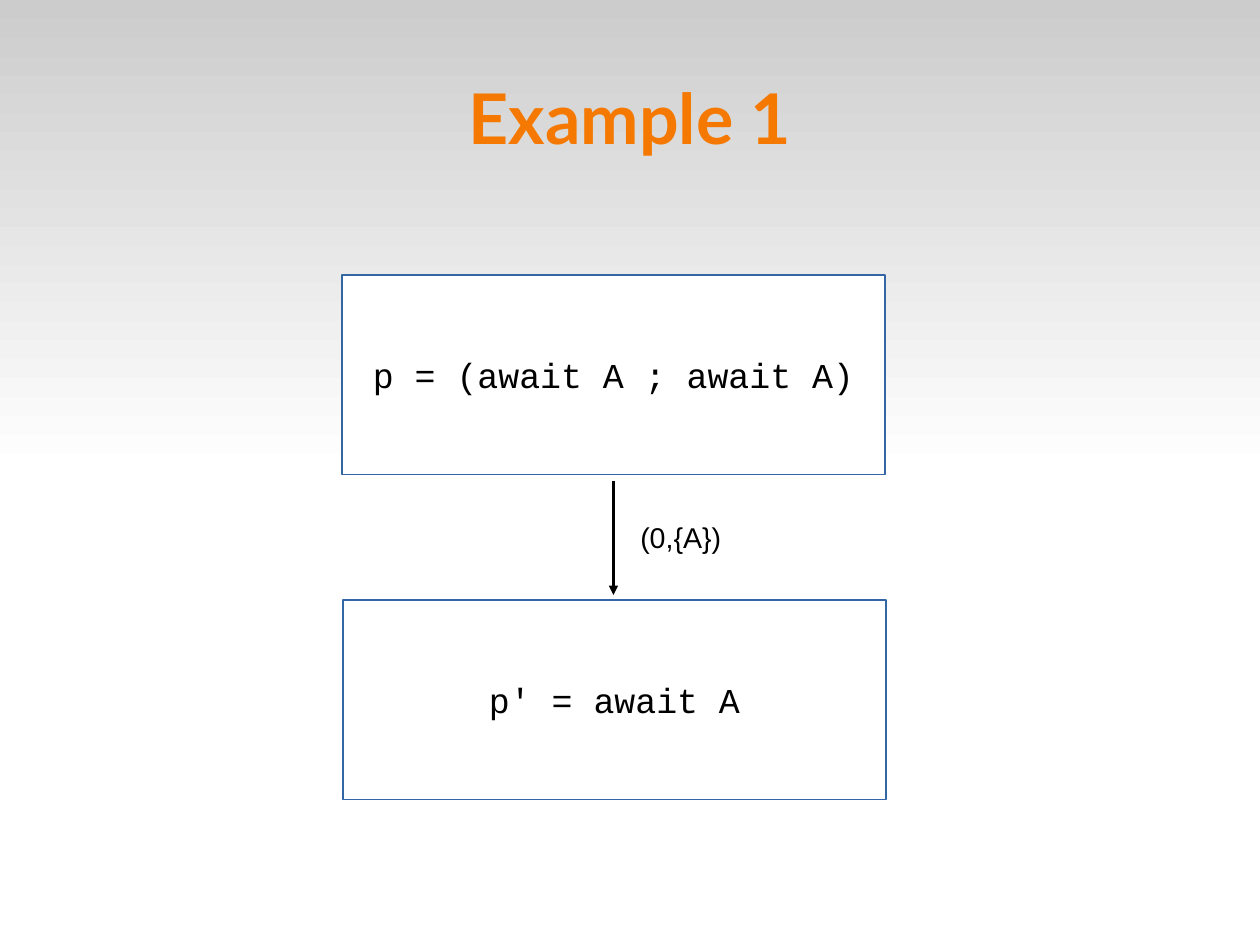
from pptx import Presentation
from pptx.dml.color import RGBColor as Rgb
from pptx.enum.shapes import MSO_CONNECTOR as Conn, MSO_SHAPE as Kind
from pptx.enum.text import MSO_ANCHOR as Anchor, PP_ALIGN as Align
from pptx.oxml.ns import qn
from pptx.util import Pt
from lxml.etree import SubElement as Sub

PX = 8000
WIDE, HIGH = 1260, 945
HUES = {"title": "F57900", "text": "000000", "edge": "3465A4",
        "fill": "FFFFFF", "top": "CCCCCC", "fade": "FFFFFF"}

TITLE = "Example 1"
STATES = ["p = (await A ; await A)", "p' = await A"]
STEP = "(0,{A})"

LEFT, TOP, BOX_W, BOX_H, PITCH = 342, 275, 543, 200, 325
GAP = 6

FONTS = {
    "title": {"name": "Lato", "size": Pt(44), "bold": True},
    "state": {"name": "Courier New", "size": Pt(22)},
    "step": {"name": "Arial", "size": Pt(18)},
}
MID = {"vertical_anchor": Anchor.MIDDLE, "word_wrap": True, "margin_left": 0,
       "margin_right": 0, "margin_top": 0, "margin_bottom": 0}
NOTE = {"vertical_anchor": Anchor.TOP, "word_wrap": True}


def px(*vals):
    return [round(v * PX) for v in vals]


def hue(name):
    return Rgb.from_string(HUES[name])


def put(item, vals):
    for key, val in vals.items():
        setattr(item, key, val)


def write(shape, text, font, tint, frame, align):
    body = shape.text_frame
    put(body, frame)
    par = body.paragraphs[0]
    par.alignment = align
    run = par.add_run()
    run.text = text
    put(run.font, FONTS[font])
    run.font.color.rgb = hue(tint)


def rect(*place):
    shape = slide.shapes.add_shape(Kind.RECTANGLE, *px(*place))
    shape.shadow.inherit = False
    return shape


deck = Presentation()
deck.slide_width, deck.slide_height = px(WIDE, HIGH)
slide = deck.slides.add_slide(deck.slide_layouts[5])

shade = rect(0, 0, WIDE, HIGH / 2)
shade.line.fill.background()
shade.fill.gradient()
shade.fill.gradient_angle = 270
for stop, name, spot in zip(shade.fill.gradient_stops, ("top", "fade"), (0, 1)):
    stop.color.rgb = hue(name)
    stop.position = spot
slide.shapes.title._element.addprevious(shade._element)

head = slide.shapes.title
put(head, dict(zip(("left", "top", "width", "height"), px(63, 38, 1134, 158))))
write(head, TITLE, "title", "title", MID, Align.CENTER)

for row, text in enumerate(STATES):
    box = rect(LEFT + row, TOP + row * PITCH, BOX_W, BOX_H)
    box.fill.solid()
    box.fill.fore_color.rgb = hue("fill")
    box.line.color.rgb = hue("edge")
    box.line.width = 0
    write(box, text, "state", "text", MID, Align.CENTER)

mid = LEFT + BOX_W / 2
arrow = slide.shapes.add_connector(
    Conn.STRAIGHT, *px(mid, TOP + BOX_H + GAP, mid, TOP + PITCH - GAP + 1))
arrow.line.color.rgb = hue("text")
arrow.line.width = Pt(1.45)
Sub(arrow.line._get_or_add_ln(), qn("a:tailEnd"), type="triangle")
Sub(arrow._element.spPr, qn("a:effectLst"))

label = slide.shapes.add_textbox(*px(629, 514, 114, 43))
write(label, STEP, "step", "text", NOTE, Align.LEFT)

deck.save("out.pptx")
